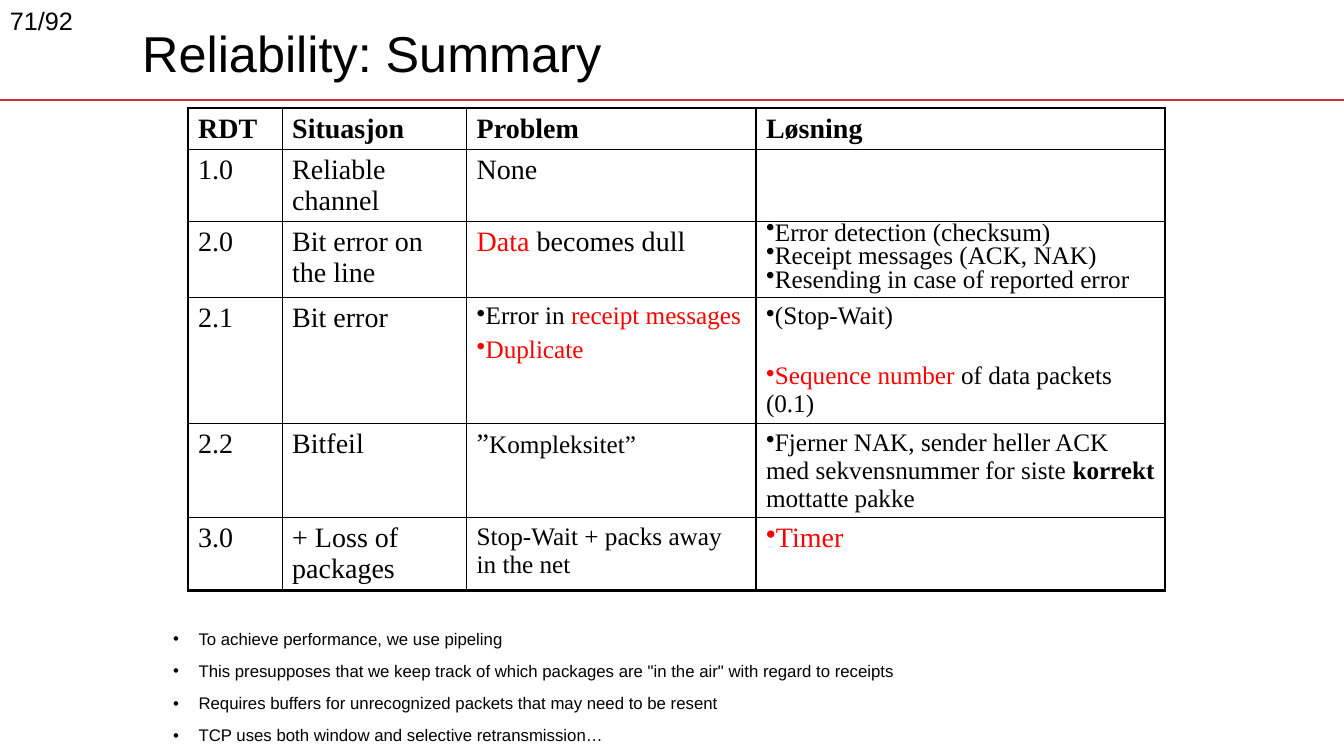
from dataclasses import dataclass

from lxml.etree import SubElement
from pptx import Presentation
from pptx.dml.color import RGBColor
from pptx.enum.shapes import MSO_CONNECTOR
from pptx.enum.text import MSO_ANCHOR, MSO_AUTO_SIZE, PP_ALIGN
from pptx.oxml import parse_xml
from pptx.oxml.ns import nsdecls, qn
from pptx.util import Cm, Pt


@dataclass(frozen=True)
class Theme:
    sans: str = "Arial"
    serif: str = "Times New Roman"
    black: str = "000000"
    red: str = "FF0000"
    rule: str = "CC2F3A"
    title: float = 36
    page: float = 18
    notes: float = 12
    table: float = 20
    detail: float = 18
    inner_border: float = 1
    outer_border: float = 2.25


THEME = Theme()


@dataclass
class Entry:
    """One paragraph of a cell; runs are (text, style), style "", "red" or "bold"."""
    runs: list
    size: float = THEME.table
    bullet: bool = False
    line_spacing: float = 1.0
    space_before: float = 4


def plain(text, style=""):
    return [Entry([(text, style)])]


def detail(*runs, **options):
    return Entry(list(runs), THEME.detail, **options)


def bullet(*runs, **options):
    return detail(*runs, bullet=True, **options)


TITLE = "Reliability: Summary"
PAGE = "71/92"
HEADINGS = ["RDT", "Situasjon", "Problem", "Løsning"]
SOLUTIONS_2_0 = [
    "Error detection (checksum)",
    "Receipt messages (ACK, NAK)",
    "Resending in case of reported error",
]
ROWS = [
    [plain(heading, "bold") for heading in HEADINGS],
    [plain("1.0"), plain("Reliable channel"), plain("None"), []],
    [plain("2.0"), plain("Bit error on the line"),
     [Entry([("Data ", "red"), ("becomes dull", "")])],
     [bullet((text, ""), line_spacing=0.65) for text in SOLUTIONS_2_0]],
    [plain("2.1"), plain("Bit error"),
     [bullet(("Error in ", ""), ("receipt messages", "red")),
      bullet(("Duplicate", "red"))],
     [bullet(("(Stop-Wait)", "")),
      bullet(("Sequence number ", "red"), ("of data packets (0.1)", ""),
             space_before=23)]],
    [plain("2.2"), plain("Bitfeil"),
     [Entry([("”", ""), ("Kompleksitet”", "detail")])],
     [bullet(("Fjerner NAK, sender heller ACK med sekvensnummer for siste ", ""),
             ("korrekt ", "bold"), ("mottatte pakke", ""))]],
    [plain("3.0"), plain("+ Loss of packages"),
     [detail(("Stop-Wait + packs away in the net", ""))],
     [Entry([("Timer", "red")], bullet=True)]],
]
NOTES = [
    "To achieve performance, we use pipeling",
    "This presupposes that we keep track of which packages are \"in the air\" "
    "with regard to receipts",
    "Requires buffers for unrecognized packets that may need to be resent",
    "TCP uses both window and selective retransmission…",
]
COLUMN_WIDTHS = [Cm(2.37), Cm(4.65), Cm(7.29), Cm(10.31)]
ROW_HEIGHTS = [Cm(1.04), Cm(1.81), Cm(1.89), Cm(3.19), Cm(2.36), Cm(1.83)]


def style_font(font, name, size, color=THEME.black, bold=False):
    font.name = name
    font.size = Pt(size)
    font.bold = bold
    font.color.rgb = RGBColor.from_string(color)


def place(shape, left, top, width, height):
    shape.left, shape.top = left, top
    shape.width, shape.height = width, height


def add_bullet(paragraph, indent=0):
    properties = paragraph._p.get_or_add_pPr()
    properties.set("marL", str(indent))
    properties.set("indent", str(-indent))
    SubElement(properties, qn("a:buChar")).set("char", "•")


def fill_cell(cell, entries):
    frame = cell.text_frame
    for index, entry in enumerate(entries):
        paragraph = frame.add_paragraph() if index else frame.paragraphs[0]
        if entry.bullet:
            add_bullet(paragraph)
        paragraph.line_spacing = entry.line_spacing
        paragraph.space_before = Pt(entry.space_before if index else 0)
        for text, style in entry.runs:
            run = paragraph.add_run()
            run.text = text
            style_font(run.font, THEME.serif,
                       THEME.detail if style == "detail" else entry.size,
                       THEME.red if style == "red" else THEME.black,
                       style == "bold")


def draw_borders(cell, outer_sides):
    """Heavy lines on the sides named in outer_sides, thin ones elsewhere."""
    properties = cell._tc.get_or_add_tcPr()
    for position, side in enumerate("LRTB"):
        heavy = side in outer_sides
        width = Pt(THEME.outer_border if heavy else THEME.inner_border)
        properties.insert(position, parse_xml(
            f'<a:ln{side} {nsdecls("a")} w="{width}"><a:solidFill>'
            f'<a:srgbClr val="{THEME.black}"/></a:solidFill></a:ln{side}>'))


def add_rule(slide, width):
    rule = slide.shapes.add_connector(
        MSO_CONNECTOR.STRAIGHT, 0, Cm(2.52), width, Cm(2.52))
    rule.line.color.rgb = RGBColor.from_string(THEME.rule)
    rule.line.width = Pt(1)
    SubElement(rule._element.spPr, qn("a:effectLst"))


def add_title(slide):
    title = slide.shapes.title
    place(title, Cm(3.33), Cm(0.53), Cm(29.87), Cm(1.75))
    frame = title.text_frame
    frame.text = TITLE
    frame.vertical_anchor = MSO_ANCHOR.MIDDLE
    frame.auto_size = MSO_AUTO_SIZE.NONE
    paragraph = frame.paragraphs[0]
    paragraph.alignment = PP_ALIGN.LEFT
    paragraph.line_spacing = 0.9
    style_font(paragraph.runs[0].font, THEME.sans, THEME.title)


def add_notes(slide):
    body = slide.placeholders[1]
    place(body, Cm(4.11), Cm(15.77), Cm(28.32), Cm(3.28))
    frame = body.text_frame
    frame.text = "\n".join(NOTES)
    frame.vertical_anchor = MSO_ANCHOR.TOP
    frame.auto_size = MSO_AUTO_SIZE.NONE
    for index, paragraph in enumerate(frame.paragraphs):
        add_bullet(paragraph, Cm(0.64))
        paragraph.line_spacing = 0.9
        paragraph.space_before = Pt(10 if index else 0)
        style_font(paragraph.runs[0].font, THEME.sans, THEME.notes)


def add_summary_table(slide):
    table = slide.shapes.add_table(
        len(ROWS), len(HEADINGS), Cm(4.74), Cm(2.72),
        sum(COLUMN_WIDTHS), sum(ROW_HEIGHTS)).table
    table.first_row = table.horz_banding = False
    for column, width in zip(table.columns, COLUMN_WIDTHS):
        column.width = width
    for row, height in zip(table.rows, ROW_HEIGHTS):
        row.height = height
    last_row, last_column = len(ROWS) - 1, len(HEADINGS) - 1
    for row_index, row in enumerate(ROWS):
        for column_index, entries in enumerate(row):
            cell = table.cell(row_index, column_index)
            cell.fill.background()
            fill_cell(cell, entries)
            edges = {"L": column_index == 0, "R": column_index == last_column,
                     "T": row_index == 0, "B": row_index == last_row}
            draw_borders(cell, [side for side in edges if edges[side]])


def add_page_number(slide):
    frame = slide.shapes.add_textbox(0, 0, Cm(3.5), Cm(1.25)).text_frame
    frame.word_wrap = True
    frame.text = PAGE
    style_font(frame.paragraphs[0].runs[0].font, THEME.sans, THEME.page)


def main():
    presentation = Presentation()
    presentation.slide_width, presentation.slide_height = Cm(33.87), Cm(19.05)
    slide = presentation.slides.add_slide(presentation.slide_layouts[1])
    add_rule(slide, presentation.slide_width)
    add_title(slide)
    add_notes(slide)
    add_summary_table(slide)
    add_page_number(slide)
    presentation.save("out.pptx")


if __name__ == "__main__":
    main()
